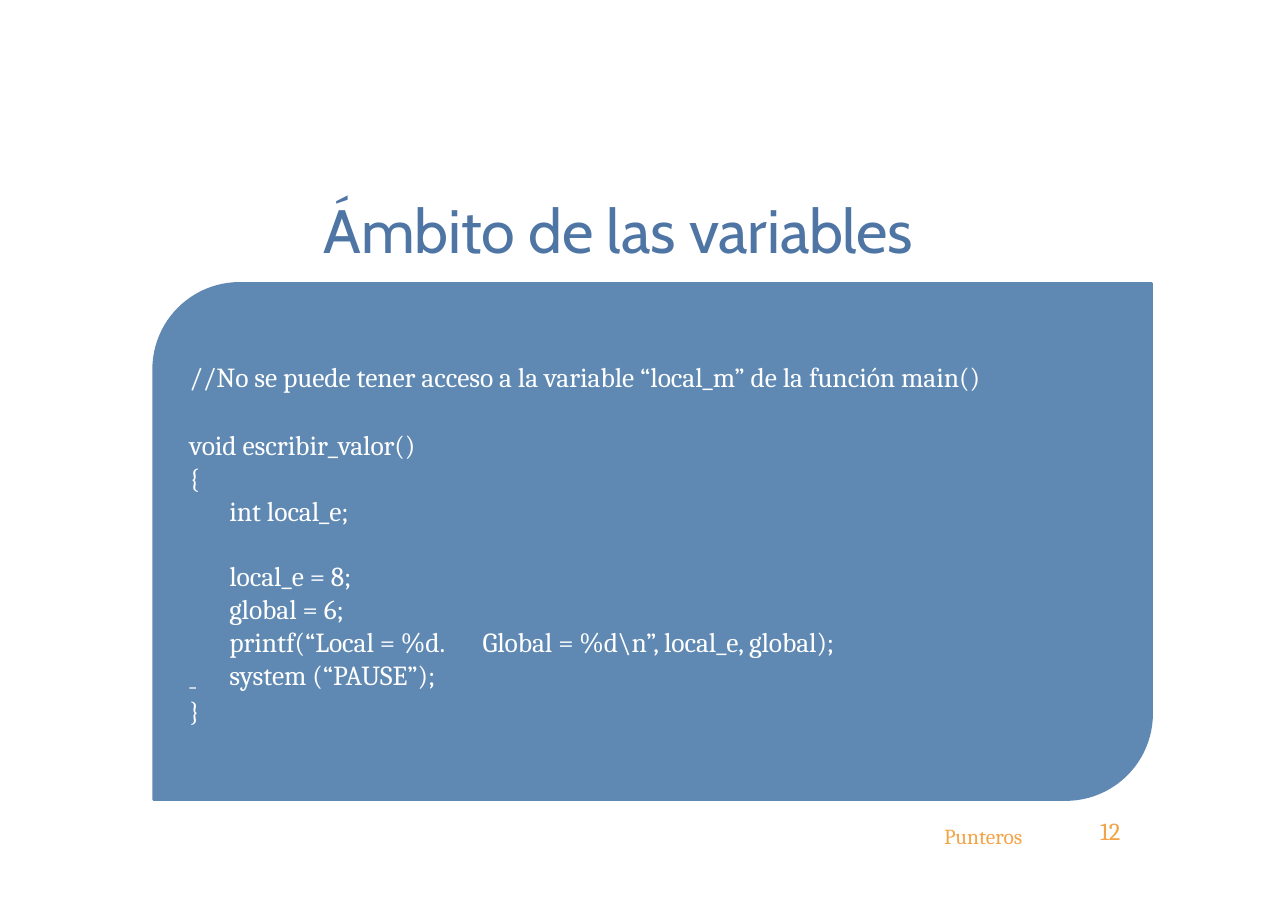
from lxml import etree
from pptx import Presentation
from pptx.dml.color import RGBColor
from pptx.enum.shapes import MSO_SHAPE
from pptx.oxml.ns import qn
from pptx.util import Cm, Pt

PANEL_SHAPE = MSO_SHAPE.ROUND_2_DIAG_RECTANGLE
DASH_SHAPE = MSO_SHAPE.RECTANGLE
BLUE, TITLE_BLUE, WHITE, ORANGE = "5F89B2", "4E75A3", "FFFFFF", "F3A447"
HEADING_FONT, BODY_FONT = "Cabin", "Cambria"

TITLE = [("Ámbito de las variables", 0)]
CODE = [
    ("//No se puede tener acceso a la variable “local_m” de la función main()", 0),
    ("void escribir_valor()", 22.4),
    ("{", 0),
    ("\tint local_e;", 0.4),
    ("\tlocal_e = 8;", 20.4),
    ("\tglobal = 6;", 0),
    ("\tprintf(“Local = %d.\tGlobal = %d\\n”, local_e, global);", 0),
    ("\tsystem (“PAUSE”);", 0),
    ("}", 1.8),
]
CODE_TABS = (0.92, 6.76)
FOOTER = [("Punteros", 0)]
PAGE = [("12", 0)]


def color(value):
    return RGBColor.from_string(value)


def add_block(slide, box, lines, font, size, ink, spacing=0, tabs=()):
    frame = slide.shapes.add_textbox(*map(Cm, box)).text_frame
    frame.word_wrap = True
    frame.margin_left = frame.margin_right = 0
    frame.margin_top = frame.margin_bottom = 0
    for index, (line, gap) in enumerate(lines):
        paragraph = frame.add_paragraph() if index else frame.paragraphs[0]
        if gap:
            paragraph.space_before = Pt(gap)
        if tabs:
            stops = etree.SubElement(paragraph._p.get_or_add_pPr(), qn("a:tabLst"))
            for stop in tabs:
                etree.SubElement(stops, qn("a:tab"), pos=str(Cm(stop)), algn="l")
        run = paragraph.add_run()
        run.text = line
        run.font.name = font
        run.font.size = Pt(size)
        run.font.color.rgb = color(ink)
        run._r.get_or_add_rPr().set("spc", str(spacing))


def add_area(slide, kind, box, fill):
    area = slide.shapes.add_shape(kind, *map(Cm, box))
    area.shadow.inherit = False
    area.fill.solid()
    area.fill.fore_color.rgb = color(fill)
    area.line.fill.background()
    return area


def main():
    deck = Presentation()
    deck.slide_width, deck.slide_height = Cm(29.7), Cm(20.98)
    slide = deck.slides.add_slide(deck.slide_layouts[6])

    add_block(slide, (7.47, 4.43, 14.8, 1.75), TITLE, HEADING_FONT, 40, TITLE_BLUE, -10)

    panel = add_area(slide, PANEL_SHAPE, (3.54, 6.53, 23.02, 11.91), BLUE)
    panel.line.color.rgb = color(BLUE)
    panel.line.width = Pt(1.5)

    add_block(slide, (4.37, 8.31, 21, 8.4), CODE, BODY_FONT, 18, WHITE, -5, CODE_TABS)
    add_area(slide, DASH_SHAPE, (4.37, 15.85, 0.15, 0.03), WHITE)

    add_block(slide, (21.77, 18.97, 2.2, 0.64), FOOTER, BODY_FONT, 14, ORANGE)
    add_block(slide, (25.37, 18.82, 0.9, 0.71), PAGE, BODY_FONT, 16, ORANGE)

    deck.save("out.pptx")


if __name__ == "__main__":
    main()
